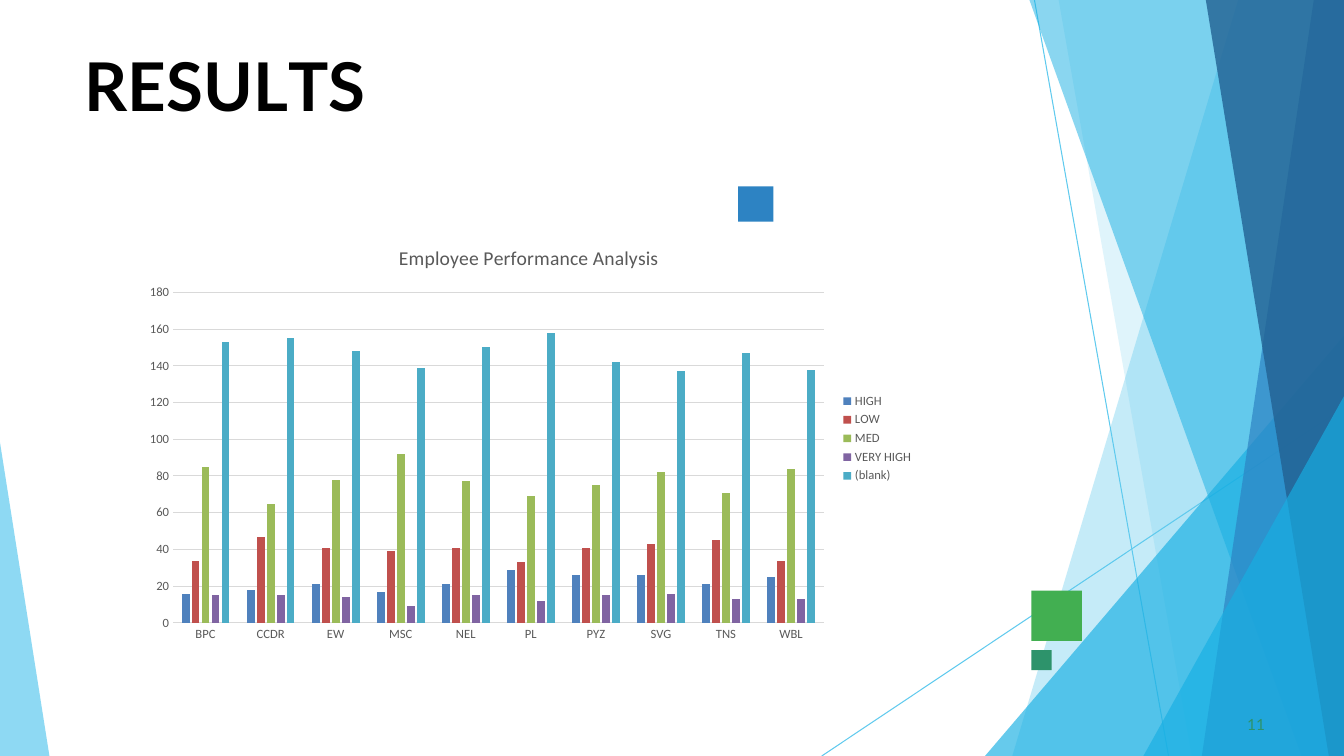
from lxml.etree import SubElement
from pptx import Presentation
from pptx.chart.data import CategoryChartData
from pptx.dml.color import RGBColor
from pptx.enum.chart import XL_CHART_TYPE, XL_LEGEND_POSITION, XL_TICK_MARK
from pptx.enum.shapes import MSO_CONNECTOR, MSO_SHAPE
from pptx.enum.text import MSO_ANCHOR, PP_ALIGN
from pptx.oxml.ns import qn
from pptx.util import Inches, Pt

WIDE, HIGH = 13.33, 7.5
COLORS = {
    "sky": "5FCAEE", "cyan": "17AFE3", "blue": "2D83C3", "navy": "226192",
    "green": "42AF51", "teal": "2D936B", "black": "000000",
    "gray": "595959", "grid": "D9D9D9",
}
LINES = [((10.26, 0), (11.59, HIGH)), ((WIDE, 4.04), (8.15, HIGH))]
BANDS = [
    ("sky", 36, [(WIDE, 0), (12.28, 0), (10.04, HIGH), (WIDE, HIGH)]),
    ("sky", 20, [(WIDE, 0), (10.5, 0), (11.82, HIGH), (WIDE, HIGH)]),
    ("cyan", 66, [(WIDE, 3.33), (9.77, HIGH), (WIDE, HIGH)]),
    ("cyan", 50, [(WIDE, 0), (10.21, 0), (12.91, HIGH), (WIDE, HIGH)]),
    ("blue", 70, [(WIDE, 0), (13.03, 0), (11.92, HIGH), (WIDE, HIGH)]),
    ("navy", 80, [(WIDE, 0), (11.96, 0), (13.18, HIGH), (WIDE, HIGH)]),
    ("cyan", 66, [(WIDE, 3.93), (11.34, HIGH), (WIDE, HIGH)]),
    ("sky", 70, [(0, 4.39), (0, HIGH), (0.49, HIGH)]),
]
SQUARES = [("green", 10.23, 5.86, 0.5), ("blue", 7.32, 1.85, 0.35),
           ("teal", 10.23, 6.45, 0.2)]
UNITS = ["BPC", "CCDR", "EW", "MSC", "NEL", "PL", "PYZ", "SVG", "TNS", "WBL"]
SERIES = [
    ("HIGH", "4F81BD", [16, 18, 21, 17, 21, 29, 26, 26, 21, 25]),
    ("LOW", "C0504D", [34, 47, 41, 39, 41, 33, 41, 43, 45, 34]),
    ("MED", "9BBB59", [85, 65, 78, 92, 77, 69, 75, 82, 71, 84]),
    ("VERY HIGH", "8064A2", [15, 15, 14, 9, 15, 12, 15, 16, 13, 13]),
    ("(blank)", "4BACC6", [153, 155, 148, 139, 150, 158, 142, 137, 147, 138]),
]


def color(name):
    return RGBColor.from_string(COLORS.get(name, name))


def paint(shape, name):
    shape.shadow.inherit = False
    shape.fill.solid()
    shape.fill.fore_color.rgb = color(name)
    shape.line.fill.background()


def style(font, name, size, face):
    font.name, font.size = face, Pt(size)
    font.bold = False
    font.color.rgb = color(name)


def add_back(slide, box):
    left, top = box[:2]

    def place(point):
        return Inches(left + point[0]), Inches(top + point[1])

    for start, end in LINES:
        line = slide.shapes.add_connector(
            MSO_CONNECTOR.STRAIGHT, *place(start), *place(end))
        line.line.color.rgb = color("sky")
        line.line.width = Pt(0.75)
        SubElement(line.element.spPr, qn("a:effectLst"))
    for name, alpha, points in BANDS:
        first, *rest = map(place, points)
        form = slide.shapes.build_freeform(*first)
        form.add_line_segments(rest, close=True)
        band = form.convert_to_shape()
        paint(band, name)
        tint = band.element.spPr.find(qn("a:solidFill"))[0]
        SubElement(tint, qn("a:alpha"), val=str(alpha * 1000))
    for name, x, y, side in SQUARES:
        square = slide.shapes.add_shape(
            MSO_SHAPE.RECTANGLE, *place((x, y)), Inches(side), Inches(side))
        paint(square, name)


def fit(shape, box):
    shape.left, shape.top, shape.width, shape.height = map(Inches, box)
    frame = shape.text_frame
    frame.word_wrap = True
    frame.vertical_anchor = MSO_ANCHOR.TOP
    frame.margin_left = frame.margin_right = frame.margin_bottom = 0
    frame.margin_top = Inches(0.01)
    para = frame.paragraphs[0]
    para.alignment = PP_ALIGN.LEFT
    para.line_spacing = 1
    return para


def add_title(slide, box):
    para = fit(slide.shapes.title, box)
    style(para.font, "black", 48, "Lato")
    para.font.bold = True
    for text, gap in [("RESU", 0), ("L", -4), ("TS", 0)]:
        run = para.add_run()
        run.text = text
        run.font._element.set("spc", str(gap * 100))


def add_page(slide, box):
    para = fit(slide.shapes.add_textbox(0, 0, 0, 0), box)
    para.text = "11"
    style(para.font, "teal", 11, "Lato")


def add_graph(slide, box):
    data = CategoryChartData()
    data.categories = UNITS
    for name, _, values in SERIES:
        data.add_series(name, values)
    chart = slide.shapes.add_chart(
        XL_CHART_TYPE.COLUMN_CLUSTERED, *map(Inches, box), data).chart
    style(chart.font, "black", 10, "Calibri")
    chart.has_title = True
    title = chart.chart_title.text_frame
    title.text = "Employee Performance Analysis"
    style(title.paragraphs[0].font, "gray", 14, "Calibri")
    chart.has_legend = True
    chart.legend.position = XL_LEGEND_POSITION.RIGHT
    chart.legend.include_in_layout = False
    style(chart.legend.font, "gray", 9, "Calibri")
    for axis in (chart.category_axis, chart.value_axis):
        axis.major_tick_mark = axis.minor_tick_mark = XL_TICK_MARK.NONE
        style(axis.tick_labels.font, "gray", 9, "Calibri")
    chart.value_axis.format.line.fill.background()
    grid = chart.value_axis.major_gridlines
    for part in (chart.category_axis, grid):
        part.format.line.color.rgb = color("grid")
        part.format.line.width = Pt(0.75)
    plot = chart.plots[0]
    plot.gap_width, plot.overlap = 219, -27
    plot.vary_by_categories = False
    for series, (_, shade, _) in zip(plot.series, SERIES):
        series.format.fill.solid()
        series.format.fill.fore_color.rgb = color(shade)


def main():
    deck = Presentation()
    deck.slide_width, deck.slide_height = Inches(WIDE), Inches(HIGH)
    slide = deck.slides.add_slide(deck.slide_layouts[5])
    add_back(slide, (0, 0, WIDE, HIGH))
    add_title(slide, (0.84, 0.43, 11.68, 0.83))
    add_page(slide, (12.37, 7.08, 0.25, 0.21))
    add_graph(slide, (1.33, 2.25, 7.83, 4.2))
    deck.save("out.pptx")


if __name__ == "__main__":
    main()
